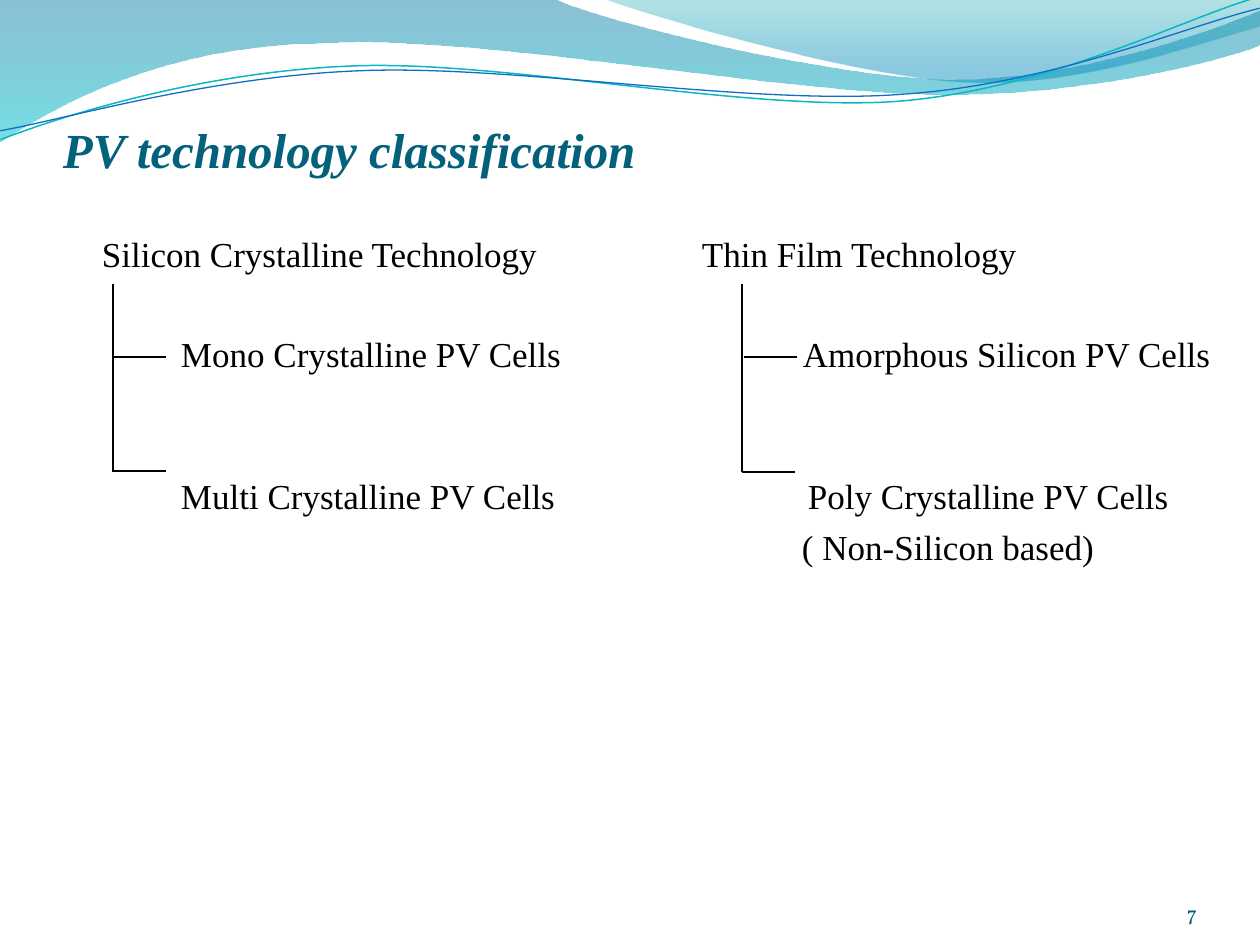
from dataclasses import dataclass

from lxml.etree import SubElement
from pptx import Presentation
from pptx.dml.color import RGBColor
from pptx.enum.shapes import MSO_CONNECTOR as Conn
from pptx.enum.text import MSO_ANCHOR as Anchor, PP_ALIGN as Align
from pptx.oxml.ns import qn
from pptx.util import Pt

EMU_PER_PX = 914400 / 126


@dataclass(frozen=True)
class Theme:
    font: str = "Times New Roman"
    number_font: str = "Vollkorn"
    title: str = "04617B"
    number: str = "045D75"
    text: str = "000000"
    title_size: int = 28
    text_size: int = 20
    number_size: int = 12
    tree_width: float = 0.75


THEME = Theme()


@dataclass(frozen=True)
class Wave:
    """Segments of 2 numbers are lines, of 6 numbers cubic curves."""
    start: tuple[int, int]
    segments: tuple[tuple[int, ...], ...]
    stops: tuple[tuple[float, str, int], ...] = ()  # position, colour, opacity %
    line: str = ""
    width: float = 0
    rotation: float = 0


@dataclass(frozen=True)
class Row:
    """Labels of one line, each at its own x."""
    space_before: int
    labels: tuple[tuple[int, str], ...]


@dataclass(frozen=True)
class Tree:
    trunk_x: int
    branches: tuple[tuple[int, int], ...]


WAVES = (
    Wave((-1, -1), ((554, -1), (600, 21, 837, 79, 955, 79), (1075, 79, 1207, 33, 1260, 11),
                    (1261, 45), (1239, 55, 1096, 96, 940, 94), (784, 94, 481, 35, 324, 43),
                    (163, 45, 58, 105, -1, 142)),
         stops=((0, "0074A1", 45), (1, "00C6CF", 55))),
    Wave((604, -1), ((641, 14, 859, 78, 969, 82), (1079, 87, 1211, 40, 1260, 26), (1260, -1)),
         stops=((0, "00A1A9", 30), (0.8, "008BBF", 45))),
    Wave((-2, 110), ((58, 90, 199, 52, 350, 53), (499, 53, 745, 118, 896, 114),
                     (1049, 109, 1184, 45, 1260, 27)),
         line="0AB8BF", width=0.85, rotation=357.3),
    Wave((-2, 101), ((57, 94, 207, 57, 357, 58), (509, 58, 750, 112, 902, 107),
                     (1052, 104, 1188, 52, 1262, 38)),
         line="0F6FC6", width=0.75, rotation=357.3),
)

BODY_X, BODY_Y, BODY_W, BODY_H = 76, 233, 1184, 570
ROWS = (
    Row(0, ((102, "Silicon Crystalline Technology"), (702, "Thin Film Technology"))),
    Row(33, ((181, "Mono Crystalline PV Cells"), (803, "Amorphous Silicon PV Cells"))),
    Row(57, ((181, "Multi Crystalline PV Cells"), (808, "Poly Crystalline PV Cells"))),
    Row(5, ((802, "( Non-Silicon based)"),)),
)

TRUNK_TOP, TRUNK_BOTTOM, BRANCH_LENGTH = 284, 472, 53
TREES = (
    Tree(113, ((113, 471), (113, 357))),
    Tree(742, ((744, 357), (742, 472))),
)


def px(n: int) -> int:
    return round(n * EMU_PER_PX)


def rgb(color: str) -> RGBColor:
    return RGBColor.from_string(color)


def add_wave(shapes, wave: Wave) -> None:
    builder = shapes.build_freeform(px(wave.start[0]), px(wave.start[1]))
    builder.add_line_segments([(px(seg[-2]), px(seg[-1])) for seg in wave.segments],
                              close=bool(wave.stops))
    s = builder.convert_to_shape()
    s.shadow.inherit = False
    # Bend the lines that stand for curves
    for node, seg in zip(list(s._element.spPr.iter(qn("a:lnTo"))), wave.segments):
        if len(seg) == 6:
            node.tag = qn("a:cubicBezTo")
            node.remove(node[0])
            for x, y in zip(seg[::2], seg[1::2]):
                SubElement(node, qn("a:pt"), x=str(px(x) - s.left), y=str(px(y) - s.top))
    s.rotation = wave.rotation
    if not wave.stops:
        s.fill.background()
        s.line.color.rgb = rgb(wave.line)
        s.line.width = Pt(wave.width)
        return
    s.line.fill.background()
    s.fill.gradient()
    s.fill.gradient_angle = 270
    for stop, (position, color, _) in zip(s.fill.gradient_stops, wave.stops):
        stop.position = position
        stop.color.rgb = rgb(color)
    for clr, (_, _, opacity) in zip(s._element.spPr.iter(qn("a:srgbClr")), wave.stops):
        SubElement(clr, qn("a:alpha"), val=str(opacity * 1000))


def add_line(shapes, x1: int, y1: int, x2: int, y2: int) -> None:
    c = shapes.add_connector(Conn.STRAIGHT, px(x1), px(y1), px(x2), px(y2))
    c.line.color.rgb = rgb(THEME.text)
    c.line.width = Pt(THEME.tree_width)
    SubElement(c._element.spPr, qn("a:effectLst"))


def add_frame(shapes, x: int, y: int, w: int, h: int, anchor: Anchor):
    tf = shapes.add_textbox(px(x), px(y), px(w), px(h)).text_frame
    tf.word_wrap = True
    tf.vertical_anchor = anchor
    tf.margin_left = tf.margin_right = tf.margin_top = tf.margin_bottom = 0
    return tf


def style(p, text: str, size: int, color: str, font: str = THEME.font) -> None:
    p.text = text
    p.font.name, p.font.size = font, Pt(size)
    p.font.color.rgb = rgb(color)


def add_rows(shapes, rows: tuple[Row, ...]) -> None:
    tf = add_frame(shapes, BODY_X, BODY_Y, BODY_W, BODY_H, Anchor.TOP)
    for i, row in enumerate(rows):
        p = tf.add_paragraph() if i else tf.paragraphs[0]
        p.space_before = Pt(row.space_before)
        tabs = SubElement(p._p.get_or_add_pPr(), qn("a:tabLst"))
        for x, _ in row.labels:
            SubElement(tabs, qn("a:tab"), pos=str(px(x - BODY_X)), algn="l")
        style(p, "".join(f"\t{text}" for _, text in row.labels), THEME.text_size, THEME.text)


def add_tree(shapes, tree: Tree) -> None:
    add_line(shapes, tree.trunk_x, TRUNK_TOP, tree.trunk_x, TRUNK_BOTTOM)
    for x, y in tree.branches:
        add_line(shapes, x, y, x + BRANCH_LENGTH, y)


def main() -> None:
    prs = Presentation()
    prs.slide_width, prs.slide_height = px(1260), px(945)
    shapes = prs.slides.add_slide(prs.slide_layouts[6]).shapes

    # Wave banner
    for wave in WAVES:
        add_wave(shapes, wave)

    # Classification labels and trees
    add_rows(shapes, ROWS)
    for tree in TREES:
        add_tree(shapes, tree)

    # Title
    p = add_frame(shapes, 63, 20, 1134, 158, Anchor.BOTTOM).paragraphs[0]
    style(p, "PV technology classification", THEME.title_size, THEME.title)
    p.font.bold = p.font.italic = True

    # Slide number
    p = add_frame(shapes, 1092, 876, 105, 50, Anchor.BOTTOM).paragraphs[0]
    style(p, "7", THEME.number_size, THEME.number, THEME.number_font)
    p.alignment = Align.RIGHT

    prs.save("out.pptx")


if __name__ == "__main__":
    main()
